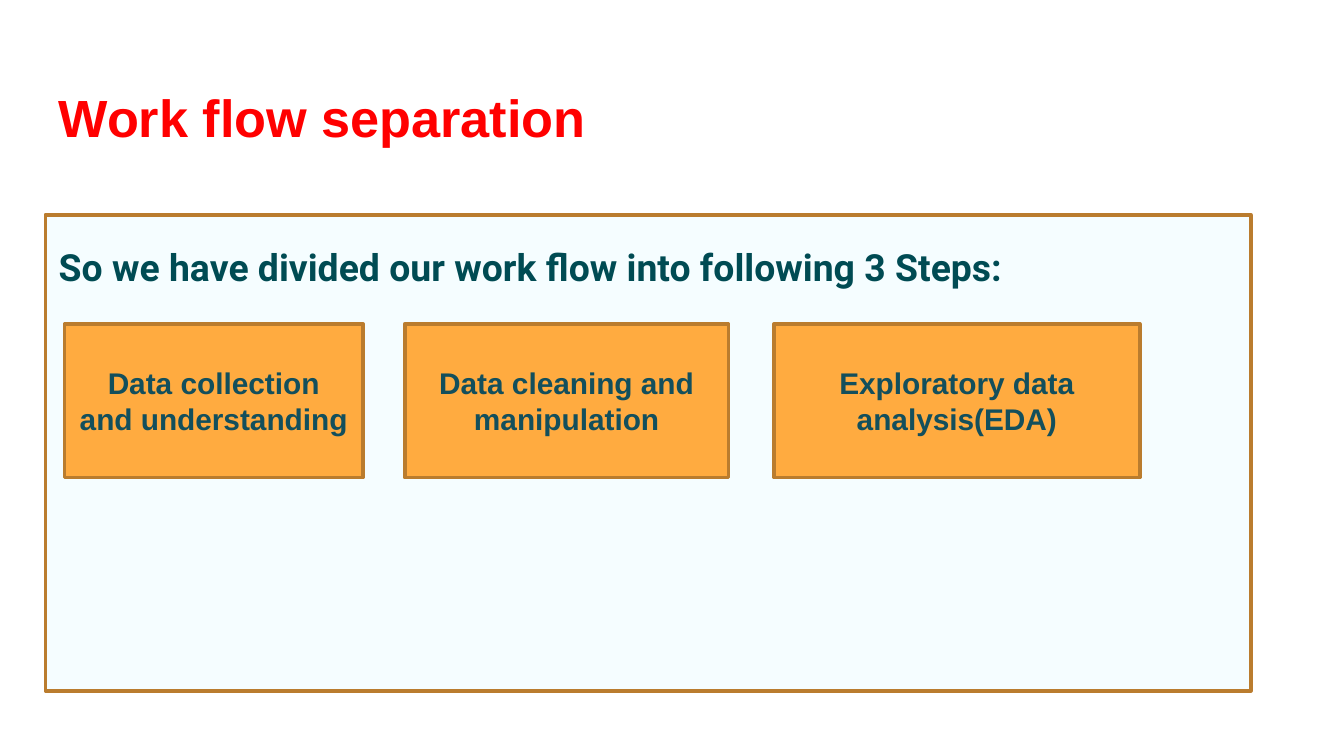
import pptx
import pptx.dml.color
import pptx.enum.shapes
import pptx.enum.text
import pptx.util
from pptx.util import Cm

ALIGN = pptx.enum.text.PP_ALIGN
ANCHOR = pptx.enum.text.MSO_ANCHOR

TITLE = "Work flow separation"
INTRO = "So we have divided our work flow into following 3 Steps:"
STEPS = [
    ("Data collection and understanding", 1.22, 5.64),
    ("Data cleaning and manipulation", 7.65, 6.12),
    ("Exploratory data analysis(EDA)", 14.63, 6.91),
]
STEP_TOP, STEP_HEIGHT = 6.12, 2.9
BORDER = "BA7C2E"


def color(hex_value):
    return pptx.dml.color.RGBColor.from_string(hex_value)


def write(shape, text, font_name, size, hex_value, align, anchor, top_inset):
    frame = shape.text_frame
    frame.word_wrap = True
    frame.auto_size = pptx.enum.text.MSO_AUTO_SIZE.NONE
    frame.vertical_anchor = anchor
    frame.margin_left = frame.margin_right = Cm(0.25)
    frame.margin_top = Cm(top_inset)
    frame.margin_bottom = Cm(0.13)
    frame.text = text
    paragraph = frame.paragraphs[0]
    paragraph.alignment = align
    paragraph.font.name = font_name
    paragraph.font.size = pptx.util.Pt(size)
    paragraph.font.bold = True
    paragraph.font.color.rgb = color(hex_value)


def add_box(slide, left, top, width, height, fill):
    box = slide.shapes.add_shape(
        pptx.enum.shapes.MSO_SHAPE.RECTANGLE,
        Cm(left), Cm(top), Cm(width), Cm(height))
    box.shadow.inherit = False
    box.fill.solid()
    box.fill.fore_color.rgb = color(fill)
    box.line.color.rgb = color(BORDER)
    box.line.width = pptx.util.Pt(2)
    return box


def main():
    deck = pptx.Presentation()
    deck.slide_width, deck.slide_height = Cm(25.4), Cm(14.28)
    slide = deck.slides.add_slide(deck.slide_layouts[5])

    title = slide.shapes.title
    title.left, title.top = Cm(0.86), Cm(1.24)
    title.width, title.height = Cm(23.67), Cm(1.75)
    write(title, TITLE, "Arial", 28, "FF0000", ALIGN.LEFT, ANCHOR.TOP, 0.36)

    panel = add_box(slide, 0.86, 4.06, 22.78, 8.99, "F5FDFF")
    write(panel, INTRO, "Roboto", 20, "004B53", ALIGN.JUSTIFY, ANCHOR.TOP, 0.56)

    for label, left, width in STEPS:
        step = add_box(slide, left, STEP_TOP, width, STEP_HEIGHT, "FFAB40")
        write(step, label, "Arial", 16, "134F5C", ALIGN.CENTER, ANCHOR.MIDDLE, 0.13)

    deck.save("out.pptx")


if __name__ == "__main__":
    main()
